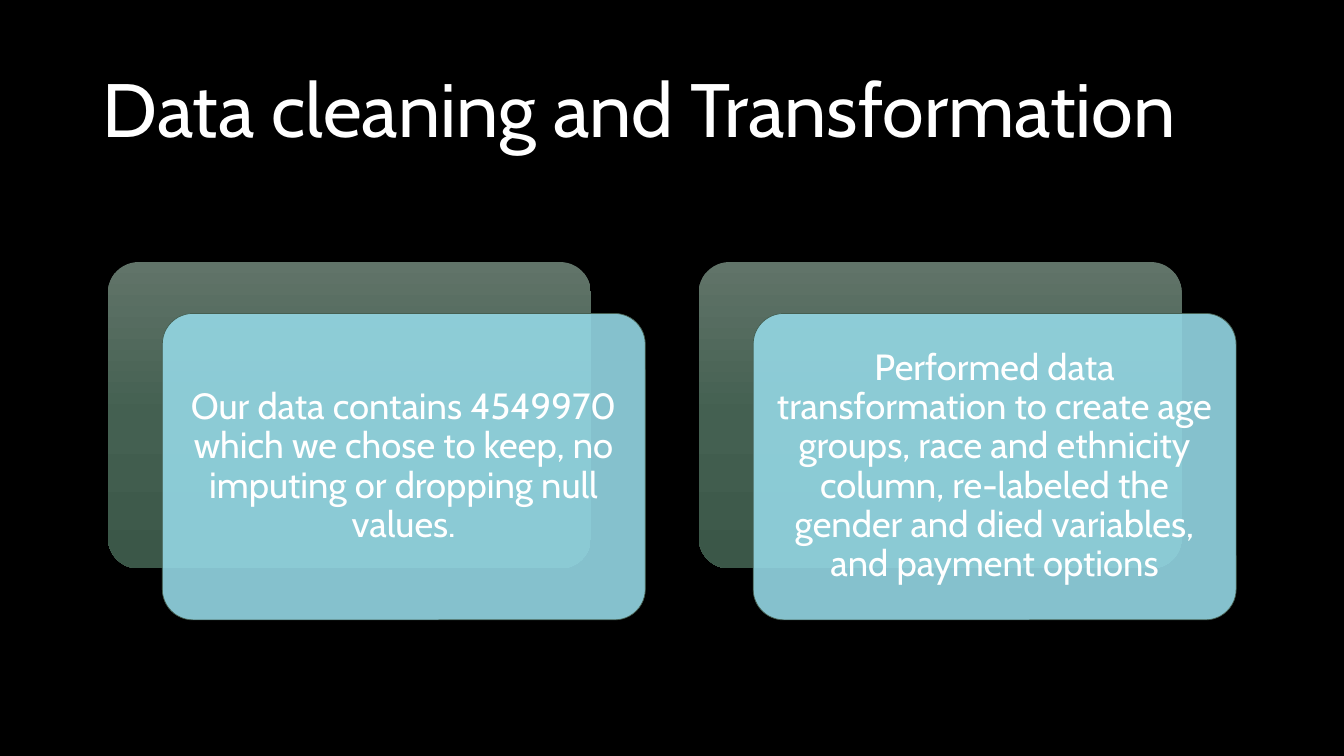
from dataclasses import dataclass

from lxml.etree import SubElement
from pptx import Presentation
from pptx.dml.color import RGBColor
from pptx.enum.shapes import MSO_SHAPE
from pptx.enum.text import MSO_ANCHOR, PP_ALIGN
from pptx.oxml import parse_xml
from pptx.oxml.ns import nsdecls, qn
from pptx.util import Inches, Pt

# Content
TITLE = "Data cleaning and Transformation"
CARDS = [
    "Our data contains 4549970 which we chose to keep, no imputing or dropping null values.",
    "Performed data transformation to create age groups, race and ethnicity column, "
    "re-labeled the gender and died variables, and payment options",
]


@dataclass(frozen=True)
class Theme:
    font: str = "Cabin"
    title_size: int = 54
    card_size: int = 26
    background: str = "000000"
    text: str = "FFFFFF"
    card: str = "94D7E4"
    card_opacity: int = 90
    outline: str = "455F51"
    gradient: tuple = ((0, "617469"), (50, "446051"), (100, "3B5748"))


THEME = Theme()

# Layout in inches: one column per card, the front panel shifted from the back one
SLIDE_WIDTH, SLIDE_HEIGHT = 13.33, 7.5
TITLE_BOX = (0.92, 0.4, 11.5, 1.45)
GRID_LEFT, GRID_TOP, COLUMN_STEP = 1.07, 2.6, 5.86
PANEL_WIDTH, PANEL_HEIGHT = 4.79, 3.04
SHIFT_X, SHIFT_Y = 0.54, 0.51
CORNER, INSET = 0.1, 0.11


def write_text(shape, text, size, alignment):
    frame = shape.text_frame
    frame.word_wrap = True
    frame.vertical_anchor = MSO_ANCHOR.MIDDLE
    frame.text = text
    para = frame.paragraphs[0]
    para.alignment = alignment
    para.line_spacing = 0.9
    for span in para.runs:
        span.font.name = THEME.font
        span.font.size = Pt(size)
        span.font.color.rgb = RGBColor.from_string(THEME.text)


def add_panel(slide, left, top):
    panel = slide.shapes.add_shape(
        MSO_SHAPE.ROUNDED_RECTANGLE,
        *map(Inches, (left, top, PANEL_WIDTH, PANEL_HEIGHT)))
    panel.adjustments[0] = CORNER
    panel.shadow.inherit = False
    return panel


def add_back_panel(slide, left, top):
    panel = add_panel(slide, left, top)
    panel.line.fill.background()
    stops = "".join(
        f'<a:gs pos="{position * 1000}"><a:srgbClr val="{color}"/></a:gs>'
        for position, color in THEME.gradient)
    gradient = parse_xml(
        f'<a:gradFill {nsdecls("a")} rotWithShape="1"><a:gsLst>{stops}</a:gsLst>'
        '<a:lin ang="5400000" scaled="0"/></a:gradFill>')
    panel.element.spPr.find(qn("a:prstGeom")).addnext(gradient)


def add_front_panel(slide, left, top, text):
    panel = add_panel(slide, left, top)
    panel.fill.solid()
    panel.fill.fore_color.rgb = RGBColor.from_string(THEME.card)
    color = panel.element.spPr.find(qn("a:solidFill")).find(qn("a:srgbClr"))
    SubElement(color, qn("a:alpha"), val=str(THEME.card_opacity * 1000))
    panel.line.color.rgb = RGBColor.from_string(THEME.outline)
    panel.line.width = Pt(0.5)
    frame = panel.text_frame
    frame.margin_left = frame.margin_right = Inches(INSET)
    frame.margin_top = frame.margin_bottom = Inches(INSET)
    write_text(panel, text, THEME.card_size, PP_ALIGN.CENTER)


def main():
    deck = Presentation()
    deck.slide_width, deck.slide_height = Inches(SLIDE_WIDTH), Inches(SLIDE_HEIGHT)
    page = deck.slides.add_slide(deck.slide_layouts[6])
    page.background.fill.solid()
    page.background.fill.fore_color.rgb = RGBColor.from_string(THEME.background)

    # Title
    title = page.shapes.add_textbox(*map(Inches, TITLE_BOX))
    write_text(title, TITLE, THEME.title_size, PP_ALIGN.LEFT)

    # Cards
    for column, text in enumerate(CARDS):
        left = GRID_LEFT + column * COLUMN_STEP
        add_back_panel(page, left, GRID_TOP)
        add_front_panel(page, left + SHIFT_X, GRID_TOP + SHIFT_Y, text)

    deck.save("out.pptx")


if __name__ == "__main__":
    main()
